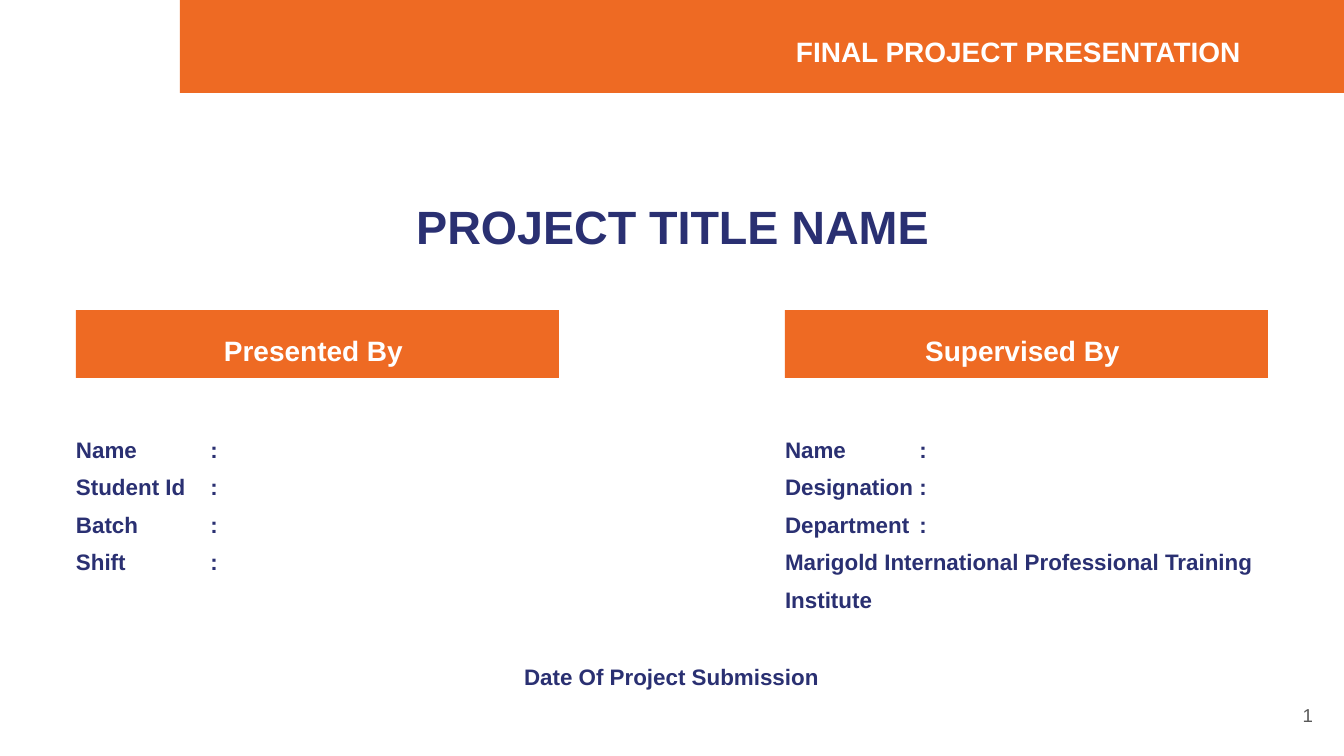
import pptx
import pptx.util
import pptx.dml.color
import pptx.enum.shapes
import pptx.enum.text
import lxml.etree

# Content
HEADER = "FINAL PROJECT PRESENTATION"
TITLE = "PROJECT TITLE NAME"
COLUMNS = [
    ("Presented By", ["Name\t\t:", "Student Id\t:", "Batch\t\t:", "Shift\t\t:"]),
    ("Supervised By", ["Name\t\t:", "Designation\t:", "Department\t:",
                       "Marigold International Professional Training Institute"]),
]
DATE = "Date Of Project Submission"

THEME = {
    "font": "Arial", "orange": "EE6A23", "navy": "2A3072",
    "white": "FFFFFF", "grey": "595959",
    "title": 25, "head": 15, "body": 12, "page": 10, "line": 1.4,
}

# Layout in px
WIDE, HIGH = 1344, 756
EDGE, COL = 76, 483
LEFTS = [EDGE, WIDE - EDGE - COL]

ALIGN = pptx.enum.text.PP_ALIGN
ANCHOR = pptx.enum.text.MSO_ANCHOR


def px(n):
    return pptx.util.Emu(round(n * 914400 / 134.4))


def color(name):
    return pptx.dml.color.RGBColor.from_string(THEME[name])


def place(shape, box):
    shape.left, shape.top, shape.width, shape.height = map(px, box)


def style(font, size, ink, bold=True):
    font.name, font.bold = THEME["font"], bold
    font.size = pptx.util.Pt(THEME[size])
    font.color.rgb = color(ink)


def write(shape, text, size, ink, align, anchor=ANCHOR.TOP, inset=(0, 0, 0, 0)):
    frame = shape.text_frame
    frame.text = text
    frame.word_wrap = True
    frame.auto_size = pptx.enum.text.MSO_AUTO_SIZE.NONE
    frame.vertical_anchor = anchor
    (frame.margin_left, frame.margin_top,
     frame.margin_right, frame.margin_bottom) = map(px, inset)
    for para in frame.paragraphs:
        para.alignment, para.line_spacing = align, THEME["line"]
        para.space_before = pptx.util.Pt(0)
        for run in para.runs:
            style(run.font, size, ink)


def bar(slide, box, text, align, inset):
    kind = pptx.enum.shapes.MSO_SHAPE.RECTANGLE
    shape = slide.shapes.add_shape(kind, *map(px, box))
    shape.shadow.inherit = False
    shape.fill.solid()
    shape.fill.fore_color.rgb = color("orange")
    shape.line.fill.background()
    write(shape, text, "head", "white", align, ANCHOR.MIDDLE, inset)


def plain(para):
    # Remove the list bullet and its indent
    props = para._p.get_or_add_pPr()
    props.set("marL", "0")
    props.set("indent", "0")
    lxml.etree.SubElement(props, pptx.oxml.ns.qn("a:buNone"))


def number(slide):
    # Slide number as a live field
    shape = slide.shapes.add_textbox(*map(px, (1246, 686, 80, 58)))
    write(shape, "1", "page", "grey", ALIGN.RIGHT, ANCHOR.MIDDLE, (13, 13, 13, 13))
    para = shape.text_frame.paragraphs[0]
    para.line_spacing = 1
    run = para.runs[0]
    style(run.font, "page", "grey", False)
    run._r.tag = pptx.oxml.ns.qn("a:fld")
    run._r.set("id", "{B6F15528-21DE-4FAA-801E-634DDDAF4B2B}")
    run._r.set("type", "slidenum")


def main():
    deck = pptx.Presentation()
    deck.slide_width, deck.slide_height = px(WIDE), px(HIGH)
    slide = deck.slides.add_slide(deck.slide_layouts[3])
    title, *bodies = slide.placeholders

    # Header and title
    bar(slide, (180, 0, WIDE - 180, 93), HEADER, ALIGN.RIGHT, (0, 0, 103, 3))
    place(title, (371, 175, 603, 56))
    write(title, TITLE, "title", "navy", ALIGN.CENTER)

    # Two columns: heading bar over a list
    for left, body, (head, lines) in zip(LEFTS, bodies, COLUMNS):
        bar(slide, (left, 310, COL, 68), head, ALIGN.CENTER, (4, 4, 12, 4))
        place(body, (left, 425, COL, 179))
        write(body, "\n".join(lines), "body", "navy", ALIGN.LEFT)
        for para in body.text_frame.paragraphs:
            plain(para)

    # Date and slide number
    date = slide.shapes.add_textbox(*map(px, (521, 652, 301, 27)))
    write(date, DATE, "body", "navy", ALIGN.CENTER)
    number(slide)
    deck.save("out.pptx")


if __name__ == "__main__":
    main()
